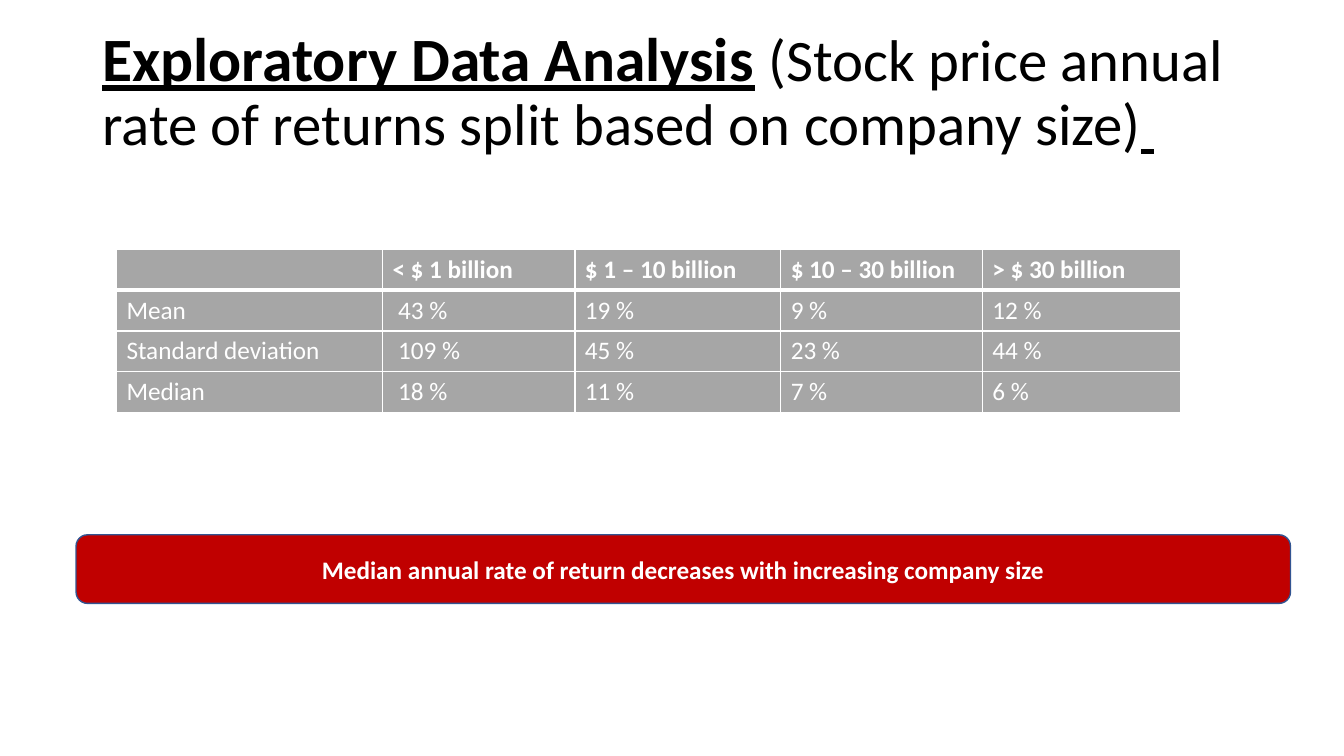
"""Build the slide on annual stock returns split by company size."""
from lxml import etree
from pptx import Presentation
from pptx import util as u
from pptx.dml import color
from pptx.enum import shapes, text
from pptx.oxml import ns


def rgb(value):
    return color.RGBColor.from_string(value)


def add_span(para, words, size, ink, bold=False, underline=False):
    span = para.add_run()
    span.text = words
    span.font.name = "Calibri"
    span.font.size = u.Pt(size)
    span.font.color.rgb = rgb(ink)
    span.font.bold = bold
    span.font.underline = underline


WHITE = "FFFFFF"

deck = Presentation()
deck.slide_width, deck.slide_height = u.Pt(960), u.Pt(540)
page = deck.slides.add_slide(deck.slide_layouts[6])

title = page.shapes.add_textbox(u.Pt(66), u.Pt(14.4), u.Pt(828), u.Pt(104.4))
title.text_frame.word_wrap = True
title.text_frame.vertical_anchor = text.MSO_ANCHOR.MIDDLE
para = title.text_frame.paragraphs[0]
para.line_spacing = 0.9
add_span(para, "Exploratory Data Analysis", 44, "000000", True, True)
add_span(para, " ", 44, "000000")
add_span(para, "(Stock price annual rate of returns split based on company size)", 42, "000000")
add_span(para, " ", 42, "000000", True, True)

returns = [
    ["", "< $ 1 billion", "$ 1 – 10 billion", "$ 10 – 30 billion", "> $ 30 billion"],
    ["Mean", " 43 %", "19 %", "9 %", "12 %"],
    ["Standard deviation", " 109 %", "45 %", "23 %", "44 %"],
    ["Median", " 18 %", "11 %", "7 %", "6 %"],
]
widths = [190, 137.5, 147, 144, 141.5]
row_height = 29.2
table = page.shapes.add_table(
    len(returns), len(widths), u.Pt(83.2), u.Pt(178),
    u.Pt(sum(widths)), u.Pt(row_height * len(returns))).table
for column, width in zip(table.columns, widths):
    column.width = u.Pt(width)
for r, row in enumerate(returns):
    table.rows[r].height = u.Pt(row_height)
    for c, words in enumerate(row):
        cell = table.cell(r, c)
        properties = cell._tc.get_or_add_tcPr()
        for side in "LRTB":
            thick = (r, side) in [(0, "B"), (1, "T")]
            border = etree.SubElement(properties, ns.qn(f"a:ln{side}"), w=str(u.Pt(3 if thick else 1)))
            solid = etree.SubElement(border, ns.qn("a:solidFill"))
            etree.SubElement(solid, ns.qn("a:srgbClr"), val=WHITE)
        cell.fill.solid()
        cell.fill.fore_color.rgb = rgb("A6A6A6")
        if words:
            add_span(cell.text_frame.paragraphs[0], words, 18, WHITE, r == 0)

banner = page.shapes.add_shape(
    shapes.MSO_SHAPE.ROUNDED_RECTANGLE, u.Pt(54.3), u.Pt(382), u.Pt(867.5), u.Pt(49))
banner.shadow.inherit = False
banner.fill.solid()
banner.fill.fore_color.rgb = rgb("C00000")
banner.line.color.rgb = rgb("325491")
banner.line.width = u.Pt(1)
banner.text_frame.word_wrap = True
banner.text_frame.vertical_anchor = text.MSO_ANCHOR.MIDDLE
para = banner.text_frame.paragraphs[0]
para.alignment = text.PP_ALIGN.CENTER
add_span(para, "Median annual rate of return decreases with increasing company size", 18, WHITE, True)

deck.save("out.pptx")
